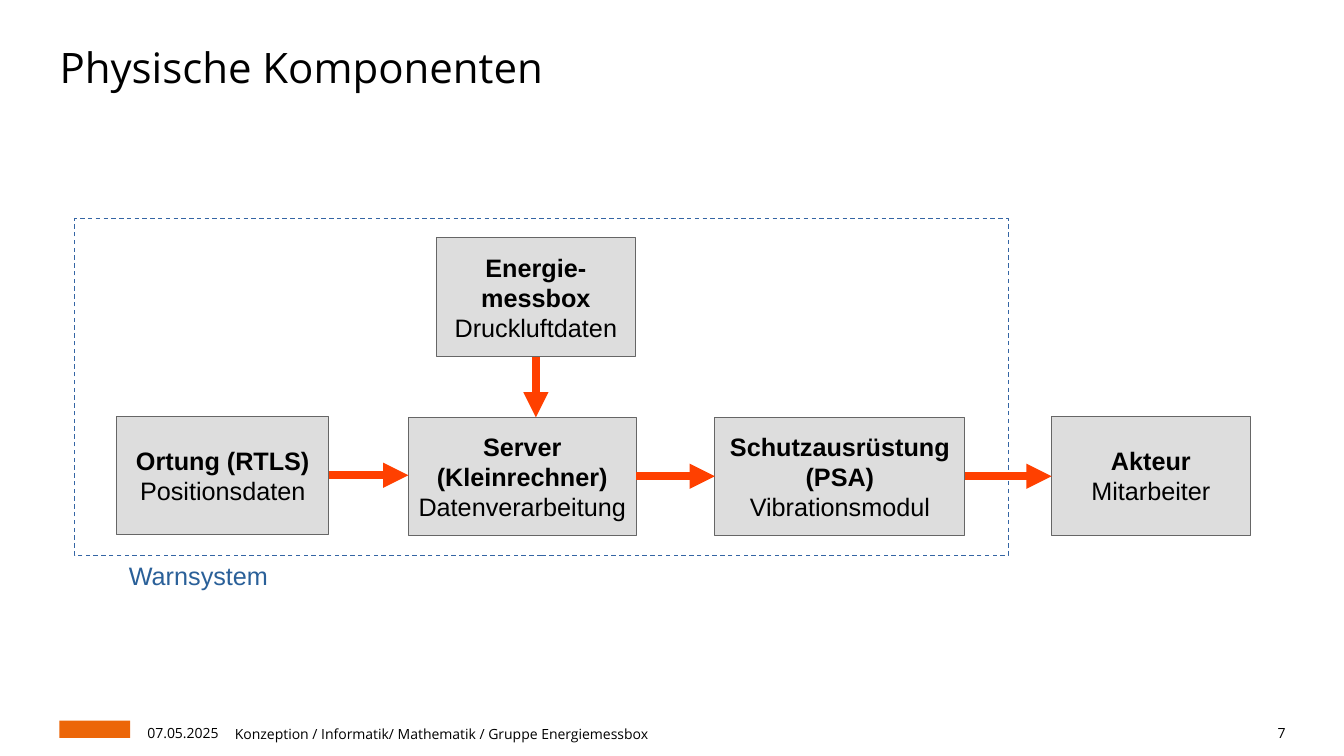
from lxml.etree import SubElement
from pptx import Presentation
from pptx.dml.color import RGBColor
from pptx.enum.dml import MSO_LINE
from pptx.enum.shapes import MSO_CONNECTOR, MSO_SHAPE
from pptx.enum.text import MSO_ANCHOR, MSO_AUTO_SIZE, PP_ALIGN
from pptx.oxml.ns import qn
from pptx.util import Inches, Pt

TITLE = "Physische Komponenten"
SYSTEM_LABEL = "Warnsystem"
SYSTEM_FRAME = (0.74, 2.17, 9.26, 3.34)
COMPONENTS = {
    "position": (1.16, 4.13, 2.1, 1.17, ["Ortung (RTLS)"], "Positionsdaten"),
    "server": (4.05, 4.14, 2.26, 1.17, ["Server (Kleinrechner)"], "Datenverarbeitung"),
    "equipment": (7.09, 4.14, 2.48, 1.17, ["Schutzausrüstung (PSA)"], "Vibrationsmodul"),
    "actor": (10.43, 4.13, 1.97, 1.18, ["Akteur"], "Mitarbeiter"),
    "energy": (4.33, 2.36, 1.97, 1.18, ["Energie-", "messbox"], "Druckluftdaten"),
}
CHAIN = ["position", "server", "equipment", "actor"]
FOOTERS = [
    ("07.05.2025", (1.4, 7.15, 0.83, 0.2), PP_ALIGN.CENTER),
    ("Konzeption / Informatik/ Mathematik / Gruppe Energiemessbox",
     (2.33, 7.16, 9.45, 0.2), PP_ALIGN.LEFT),
    ("7", (12.16, 7.15, 0.59, 0.2), PP_ALIGN.RIGHT),
]
LOGO_PLACE = (0.59, 7.15, 0.7, 0.17)
COLORS = {
    "text": "000000",
    "box": "DDDDDD",
    "box_line": "666666",
    "frame": "3465A4",
    "label": "2A6099",
    "arrow": "FF4000",
    "logo": "EC6608",
}


def color(name):
    return RGBColor.from_string(COLORS[name])


def inches(*values):
    return [Inches(value) for value in values]


def write(shape, lines, size=18, font="Arial", fill="text", bold_lines=0,
          align=PP_ALIGN.LEFT, anchor=MSO_ANCHOR.TOP, insets=(0.1, 0.05),
          spacing=None, space_after=0):
    frame = shape.text_frame
    frame.word_wrap = True
    frame.auto_size = MSO_AUTO_SIZE.NONE
    frame.vertical_anchor = anchor
    frame.margin_left = frame.margin_right = Inches(insets[0])
    frame.margin_top = frame.margin_bottom = Inches(insets[1])
    for index, line in enumerate(lines):
        paragraph = frame.add_paragraph() if index else frame.paragraphs[0]
        paragraph.alignment = align
        paragraph.space_before = Pt(0)
        paragraph.space_after = Pt(space_after)
        if spacing:
            paragraph.line_spacing = spacing
        run = paragraph.add_run()
        run.text = line
        run.font.size = Pt(size)
        run.font.name = font
        run.font.bold = index < bold_lines
        run.font.color.rgb = color(fill)


def add_box(slide, place, fill=None, line=None, width=0):
    shape = slide.shapes.add_shape(MSO_SHAPE.RECTANGLE, *inches(*place))
    shape.shadow.inherit = False
    if fill:
        shape.fill.solid()
        shape.fill.fore_color.rgb = color(fill)
    else:
        shape.fill.background()
    if line:
        shape.line.color.rgb = color(line)
        shape.line.width = Pt(width)
    else:
        shape.line.fill.background()
    return shape


def add_arrow(slide, start, end):
    arrow = slide.shapes.add_connector(MSO_CONNECTOR.STRAIGHT, *inches(*start, *end))
    arrow.line.color.rgb = color("arrow")
    arrow.line.width = Pt(6)
    properties = arrow.element.spPr
    SubElement(properties.find(qn("a:ln")), qn("a:tailEnd"), type="triangle")
    SubElement(properties, qn("a:effectLst"))


def main():
    presentation = Presentation()
    presentation.slide_width, presentation.slide_height = inches(13.33, 7.5)
    slide = presentation.slides.add_slide(presentation.slide_layouts[5])

    title = slide.shapes.title
    title.left, title.top, title.width, title.height = inches(0.59, 0.41, 12.16, 0.98)
    write(title, [TITLE], size=30, font="Open Sans", insets=(0, 0))

    add_box(slide, LOGO_PLACE, fill="logo")
    frame = add_box(slide, SYSTEM_FRAME, line="frame", width=0.79)
    frame.line.dash_style = MSO_LINE.DASH
    label = slide.shapes.add_textbox(*inches(1.18, 5.51, 2.15, 0.66))
    write(label, [SYSTEM_LABEL], fill="label")

    for *place, names, detail in COMPONENTS.values():
        box = add_box(slide, place, fill="box", line="box_line")
        write(box, names + [detail], bold_lines=len(names),
              align=PP_ALIGN.CENTER, anchor=MSO_ANCHOR.MIDDLE)

    for source, target in zip(CHAIN, CHAIN[1:]):
        left, top, width, height = COMPONENTS[source][:4]
        middle = top + height / 2
        add_arrow(slide, (left + width, middle), (COMPONENTS[target][0], middle))
    left, top, width, height = COMPONENTS["energy"][:4]
    center = left + width / 2
    add_arrow(slide, (center, top + height), (center, COMPONENTS["server"][1]))

    for text, place, align in FOOTERS:
        footer = slide.shapes.add_textbox(*inches(*place))
        write(footer, [text], size=10, font="Open Sans", align=align,
              anchor=MSO_ANCHOR.BOTTOM, insets=(0, 0), spacing=1.1, space_after=10)

    presentation.save("out.pptx")


if __name__ == "__main__":
    main()
